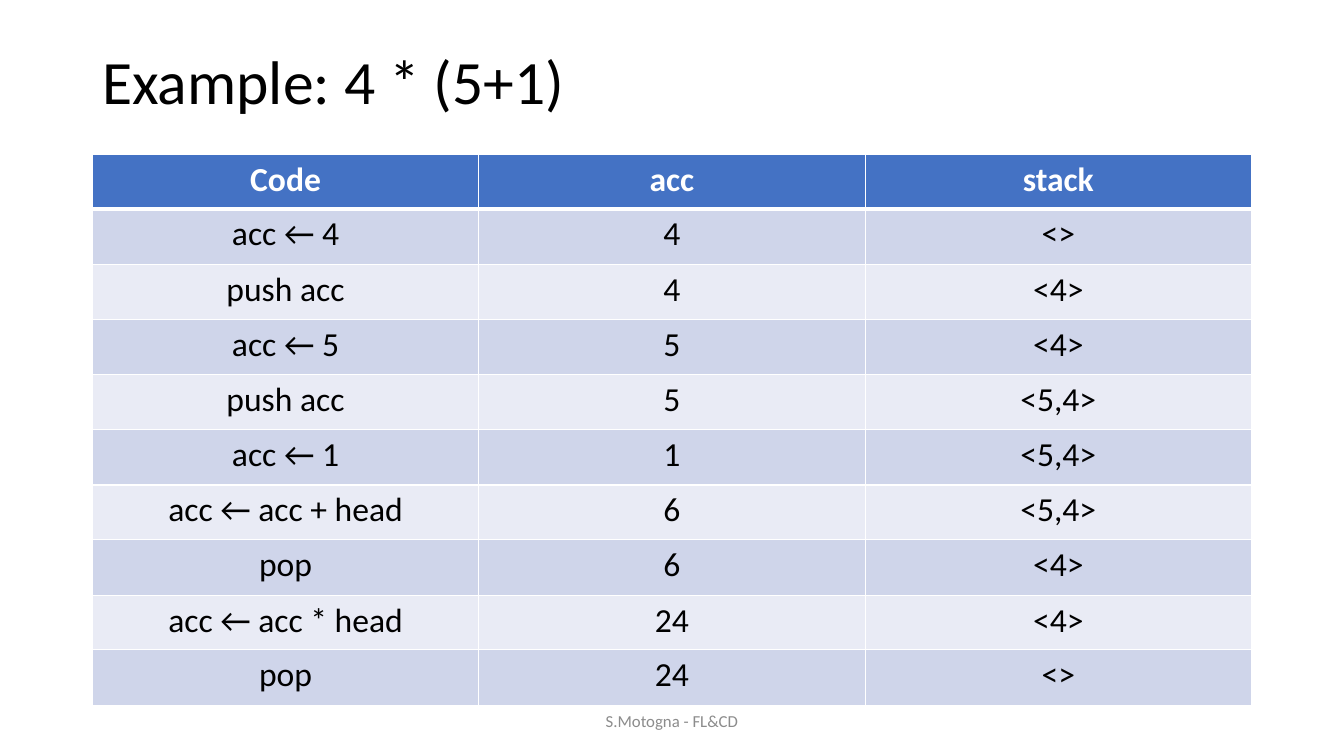
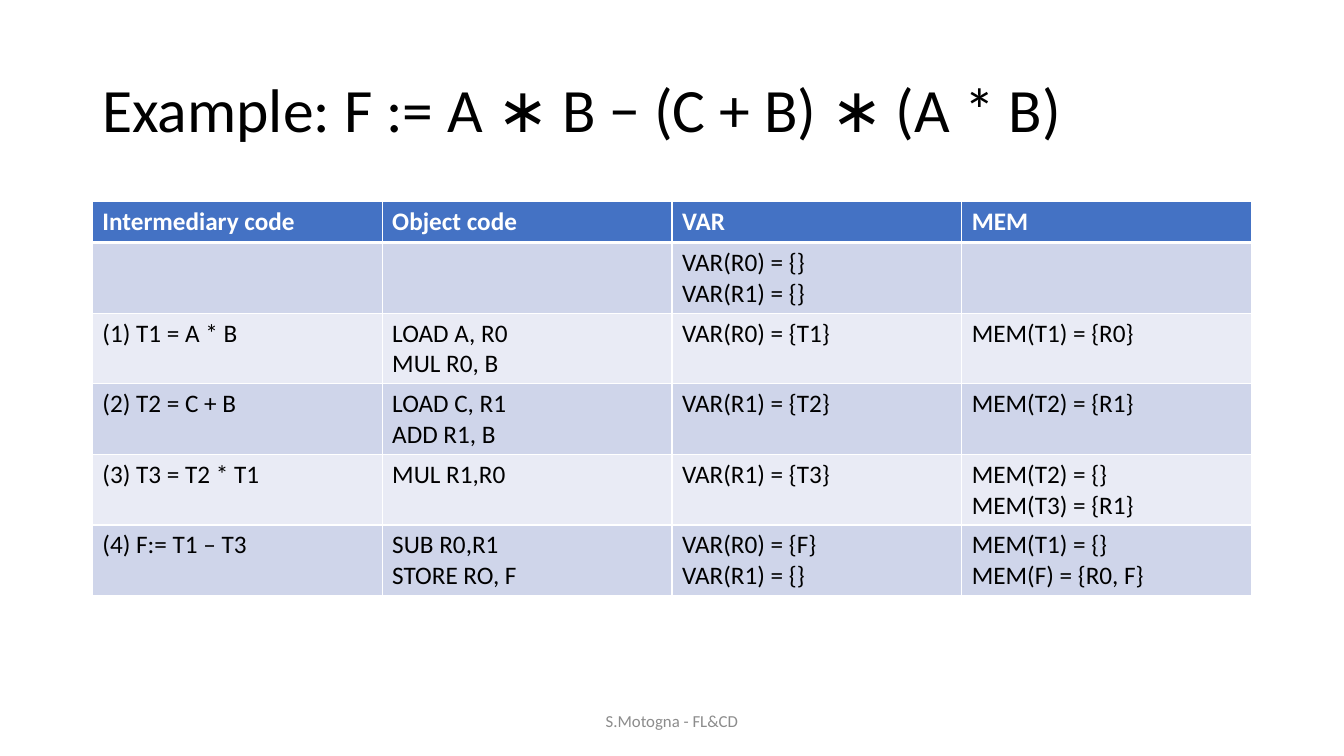
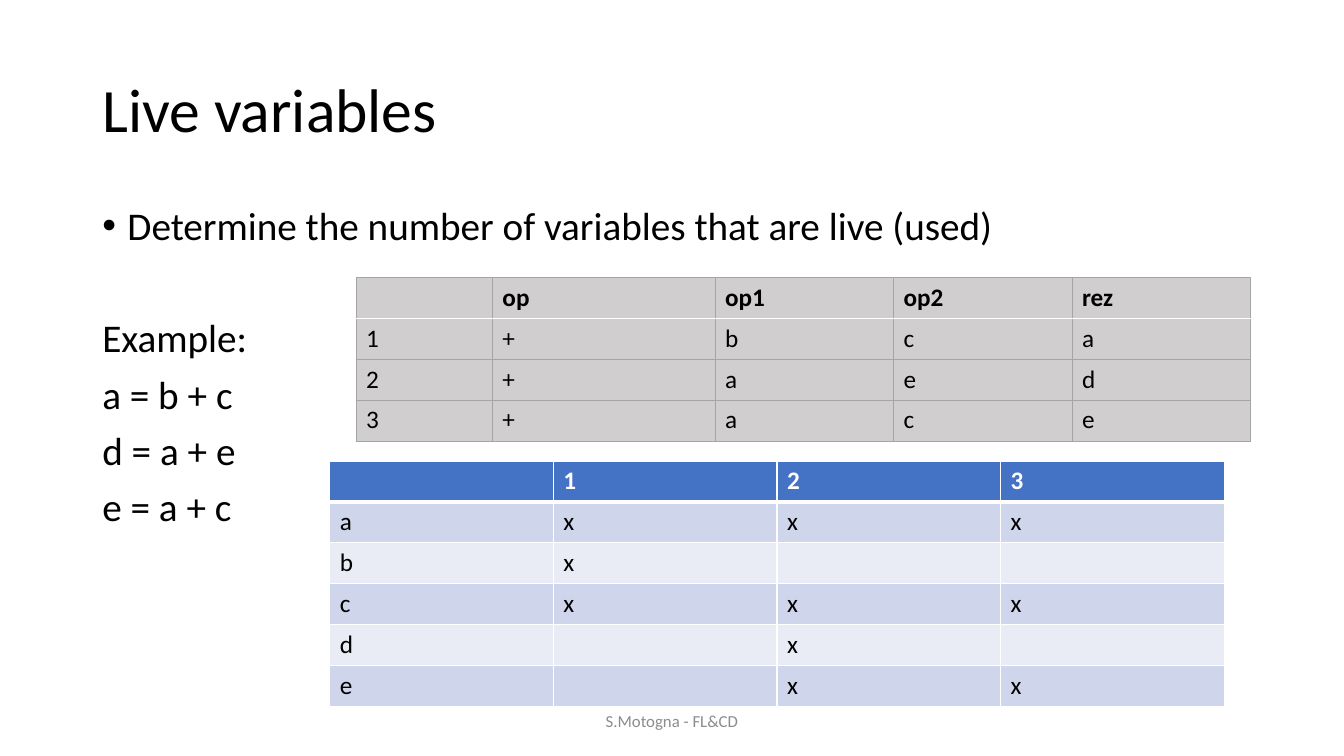
"""Builds three lecture slides on code generation and live variables."""
from lxml import etree
from pptx import Presentation
from pptx.dml.color import RGBColor
from pptx.enum.text import MSO_ANCHOR, PP_ALIGN
from pptx.oxml.ns import qn
from pptx.util import Emu, Pt

LEFT, CENTER = PP_ALIGN.LEFT, PP_ALIGN.CENTER
TOP, MIDDLE = MSO_ANCHOR.TOP, MSO_ANCHOR.MIDDLE

FONT = "Calibri"
BLACK, WHITE, GRAY = "000000", "FFFFFF", "8C8C8C"
MARGIN, CONTENT_WIDTH = 88, 1104
ROW = 39
BLUE_TABLE = {
    "header": "4472C4", "header_text": WHITE, "bands": ("CFD5EA", "E9EBF5"),
    "grid": (WHITE, 1), "header_rule": (WHITE, 3),
}
GRAY_TABLE = {
    "header": "D0CECE", "header_text": BLACK, "bands": ("D0CECE",),
    "grid": ("A5A5A5", 0.5), "header_rule": (WHITE, 1),
}


def px(length):
    return Emu(length * 9525)


def rgb(color):
    return RGBColor.from_string(color)


class Deck:
    """Holds the shared style and the slide being built."""

    def __init__(self):
        self.prs = Presentation()
        self.prs.slide_width, self.prs.slide_height = px(1280), px(720)
        self.slide = None

    def new_slide(self, title, title_height=139):
        self.slide = self.prs.slides.add_slide(self.prs.slide_layouts[6])
        heading = self.text(title, MARGIN, 38, CONTENT_WIDTH, title_height, 44, anchor=MIDDLE)
        heading.paragraphs[0].line_spacing = 0.9

    def footer(self):
        self.text("S.Motogna - FL&CD", 424, 667, 432, 38, 12, GRAY, CENTER, MIDDLE)

    def style(self, frame, size, color, align, bold=False):
        for paragraph in frame.paragraphs:
            paragraph.alignment = align
            for run in paragraph.runs:
                run.font.name, run.font.size, run.font.bold = FONT, Pt(size), bold
                run.font.color.rgb = rgb(color)

    def text(self, words, x, y, w, h, size, color=BLACK, align=LEFT, anchor=TOP):
        frame = self.slide.shapes.add_textbox(px(x), px(y), px(w), px(h)).text_frame
        frame.word_wrap = True
        frame.vertical_anchor = anchor
        frame.text = words
        self.style(frame, size, color, align)
        return frame

    def body(self, bullet, lines):
        frame = self.text("\n".join([bullet, *lines]), MARGIN, 192, CONTENT_WIDTH, 457, 28)
        for paragraph in frame.paragraphs:
            paragraph.line_spacing = 0.9
            paragraph.space_before = Pt(10)
        frame.paragraphs[1].space_before = Pt(50)
        properties = frame.paragraphs[0]._p.get_or_add_pPr()
        properties.set("marL", str(px(24)))
        properties.set("indent", str(px(-24)))
        etree.SubElement(properties, qn("a:buFont"), typeface="Arial")
        etree.SubElement(properties, qn("a:buChar"), char="•")

    def border(self, cell, side, color, width):
        line = etree.SubElement(cell._tc.get_or_add_tcPr(), qn("a:ln" + side), w=str(Pt(width)))
        fill = etree.SubElement(line, qn("a:solidFill"))
        etree.SubElement(fill, qn("a:srgbClr"), val=color)

    def table(self, rows, x, y, widths, heights, look=BLUE_TABLE, size=18, align=LEFT):
        table = self.slide.shapes.add_table(
            len(rows), len(widths), px(x), px(y), px(sum(widths)), px(sum(heights))).table
        for column, width in zip(table.columns, widths):
            column.width = px(width)
        for r, (row, height) in enumerate(zip(rows, heights)):
            table.rows[r].height = px(height)
            is_header = r == 0
            fill = look["header"] if is_header else look["bands"][(r - 1) % len(look["bands"])]
            color = look["header_text"] if is_header else BLACK
            borders = dict.fromkeys("LRTB", look["grid"])
            if r < 2:
                borders["B" if is_header else "T"] = look["header_rule"]
            for c, words in enumerate(row):
                cell = table.cell(r, c)
                for side, rule in borders.items():
                    self.border(cell, side, *rule)
                cell.fill.solid()
                cell.fill.fore_color.rgb = rgb(fill)
                cell.text_frame.text = words
                self.style(cell.text_frame, size, color, align, is_header)


def accumulator_slide(deck):
    deck.new_slide("Example: 4 * (5+1)", 85)
    steps = [
        ("Code", "acc", "stack"),
        ("acc ← 4", "4", "<>"),
        ("push acc", "4", "<4>"),
        ("acc ← 5", "5", "<4>"),
        ("push acc", "5", "<5,4>"),
        ("acc ← 1", "1", "<5,4>"),
        ("acc ← acc + head", "6", "<5,4>"),
        ("pop", "6", "<4>"),
        ("acc ← acc * head", "24", "<4>"),
        ("pop", "24", "<>"),
    ]
    heights = [52, 53] * 5
    deck.table(steps, MARGIN, 147, [CONTENT_WIDTH // 3] * 3, heights, size=24, align=CENTER)
    deck.footer()


def register_slide(deck):
    deck.new_slide("Example: F := A ∗ B − (C + B) ∗ (A * B)")
    steps = [
        ("Intermediary code", "Object code", "VAR", "MEM"),
        ("", "", "VAR(R0) = {}\nVAR(R1) = {}", ""),
        ("(1) T1 = A * B", "LOAD A, R0\nMUL R0, B", "VAR(R0) = {T1}", "MEM(T1) = {R0}"),
        ("(2) T2 = C + B", "LOAD C, R1\nADD R1, B", "VAR(R1) = {T2}", "MEM(T2) = {R1}"),
        ("(3) T3 = T2 * T1", "MUL R1,R0", "VAR(R1) = {T3}", "MEM(T2) = {}\nMEM(T3) = {R1}"),
        ("(4) F:= T1 – T3", "SUB R0,R1\nSTORE RO, F", "VAR(R0) = {F}\nVAR(R1) = {}",
         "MEM(T1) = {}\nMEM(F) = {R0, F}"),
    ]
    deck.table(steps, MARGIN, 192, [CONTENT_WIDTH // 4] * 4, [ROW] + [67] * 5)
    deck.footer()


def live_variables_slide(deck):
    deck.new_slide("Live variables")
    deck.body("Determine the number of variables that are live (used)",
              ["Example:", "a = b + c", "d = a + e", "e = a + c"])
    deck.footer()
    quadruples = [("", "op", "op1", "op2", "rez"), "1+bca", "2+aed", "3+ace"]
    deck.table(quadruples, 339, 264, [130, 212] + [170] * 3, [ROW] * 4, GRAY_TABLE)
    live_at = {"a": "123", "b": "1", "c": "123", "d": "2", "e": "23"}
    usage = [("", *"123")]
    for variable, points in live_at.items():
        usage.append((variable, *("x" if point in points else "" for point in "123")))
    deck.table(usage, 314, 439, [213] * 4, [ROW] * 6)


def main():
    deck = Deck()
    accumulator_slide(deck)
    register_slide(deck)
    live_variables_slide(deck)
    deck.prs.save("out.pptx")


if __name__ == "__main__":
    main()
